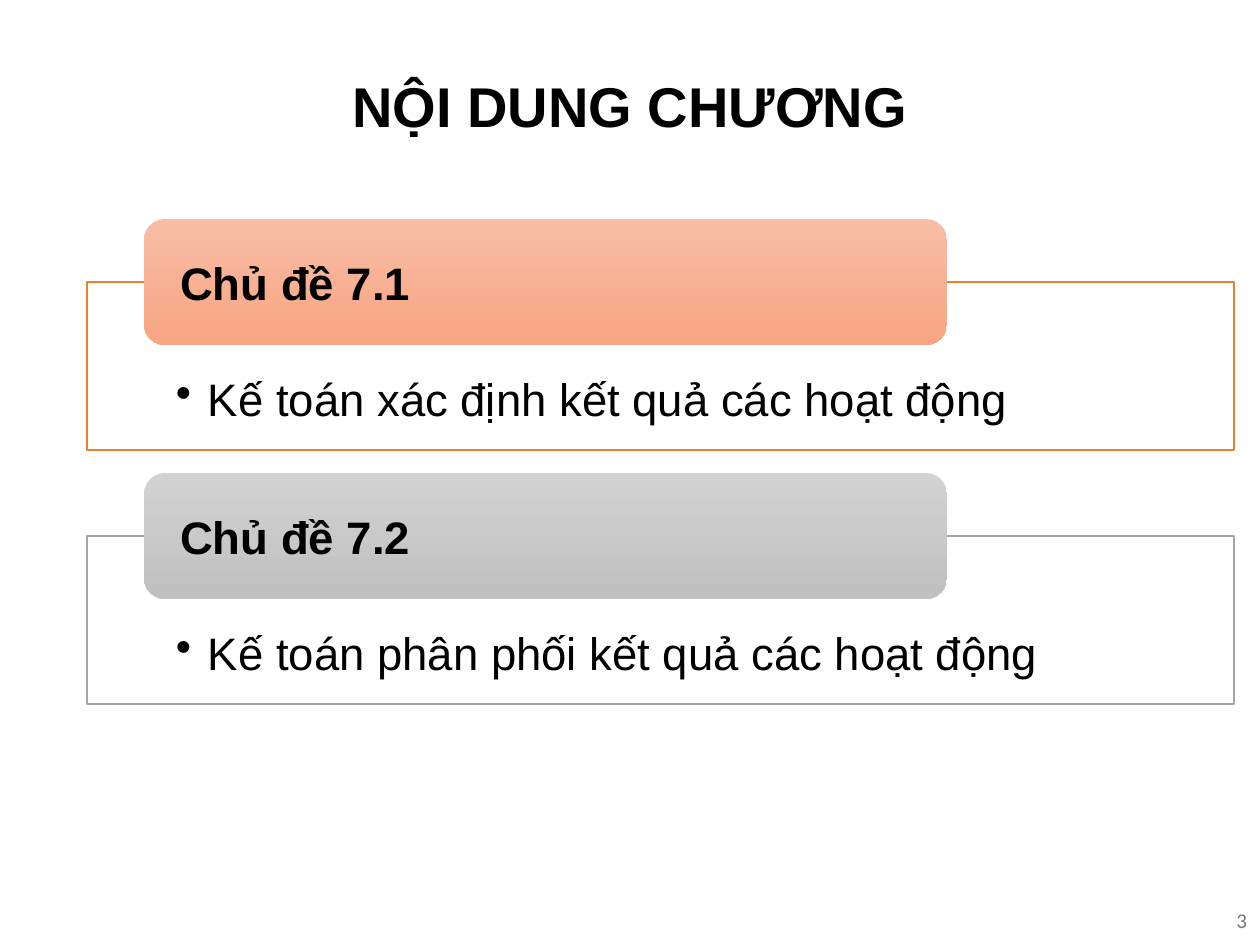
from lxml.etree import SubElement
from pptx import Presentation
from pptx.dml.color import RGBColor
from pptx.enum.shapes import MSO_SHAPE
from pptx.enum.text import MSO_ANCHOR, PP_ALIGN
from pptx.oxml.ns import qn
from pptx.util import Emu, Pt

PX = 914400 // 126


def px(length):
    return Emu(length * PX)


def color(value):
    return RGBColor.from_string(value)


def write_text(frame, text, size=26, font="Arial", ink="000000", bold=False,
               align=PP_ALIGN.JUSTIFY, anchor=MSO_ANCHOR.MIDDLE,
               insets=(13, 6, 13, 6), bullet_indent=0, line_spacing=None):
    frame.word_wrap = True
    frame.vertical_anchor = anchor
    (frame.margin_left, frame.margin_top,
     frame.margin_right, frame.margin_bottom) = map(px, insets)
    paragraph = frame.paragraphs[0]
    if bullet_indent:
        properties = paragraph._p.get_or_add_pPr()
        properties.set("marL", str(px(bullet_indent)))
        properties.set("indent", str(-px(bullet_indent)))
        SubElement(properties, qn("a:buChar"), char="•")
    paragraph.alignment = align
    if line_spacing:
        paragraph.line_spacing = line_spacing
    run = paragraph.add_run()
    run.text = text
    run.font.size = Pt(size)
    run.font.name = font
    run.font.bold = bold
    run.font.color.rgb = color(ink)


class SlideBuilder:
    def __init__(self, slide):
        self.slide = slide

    def text(self, box, text, **style):
        shape = self.slide.shapes.add_textbox(*map(px, box))
        write_text(shape.text_frame, text, **style)

    def shape(self, kind, box):
        shape = self.slide.shapes.add_shape(kind, *map(px, box))
        shape.shadow.inherit = False
        return shape

    def frame(self, box, line, text):
        shape = self.shape(MSO_SHAPE.RECTANGLE, box)
        shape.fill.solid()
        shape.fill.fore_color.rgb = color("FFFFFF")
        shape.line.color.rgb = color(line)
        shape.line.width = Pt(1)
        write_text(shape.text_frame, text, anchor=MSO_ANCHOR.TOP,
                   insets=(89, 89, 89, 25), bullet_indent=32)

    def header(self, box, gradient, text):
        shape = self.shape(MSO_SHAPE.ROUNDED_RECTANGLE, box)
        shape.fill.gradient()
        shape.fill.gradient_angle = 270
        for stop, value in zip(shape.fill.gradient_stops, gradient):
            stop.color.rgb = color(value)
        shape.line.fill.background()
        write_text(shape.text_frame, text, bold=True, insets=(30, 0, 30, 0))


TOPICS = [
    ("Chủ đề 7.1", "Kế toán xác định kết quả các hoạt động",
     "ED7D31", ("F7BDA5", "F8A582")),
    ("Chủ đề 7.2", "Kế toán phân phối kết quả các hoạt động",
     "A5A5A5", ("D2D2D2", "C0C0C0")),
]
TOPIC_TOP, TOPIC_STEP, HEADER_HEIGHT = 219, 254, 126


def main():
    presentation = Presentation()
    presentation.slide_width, presentation.slide_height = px(1260), px(945)
    slide = presentation.slides.add_slide(presentation.slide_layouts[6])
    builder = SlideBuilder(slide)

    # Title
    builder.text((87, 39, 1086, 140), "NỘI DUNG CHƯƠNG", size=32, bold=True,
                 align=PP_ALIGN.CENTER, line_spacing=0.9)

    # Slide number
    builder.text((977, 895, 283, 50), "3", size=12, font="Calibri",
                 ink="797979", align=PP_ALIGN.RIGHT)

    # Topics: each header straddles the top edge of its frame
    for index, (heading, content, line, gradient) in enumerate(TOPICS):
        top = TOPIC_TOP + index * TOPIC_STEP
        builder.frame((87, top + HEADER_HEIGHT // 2, 1147, 168), line, content)
        builder.header((144, top, 803, HEADER_HEIGHT), gradient, heading)

    presentation.save("out.pptx")


if __name__ == "__main__":
    main()
